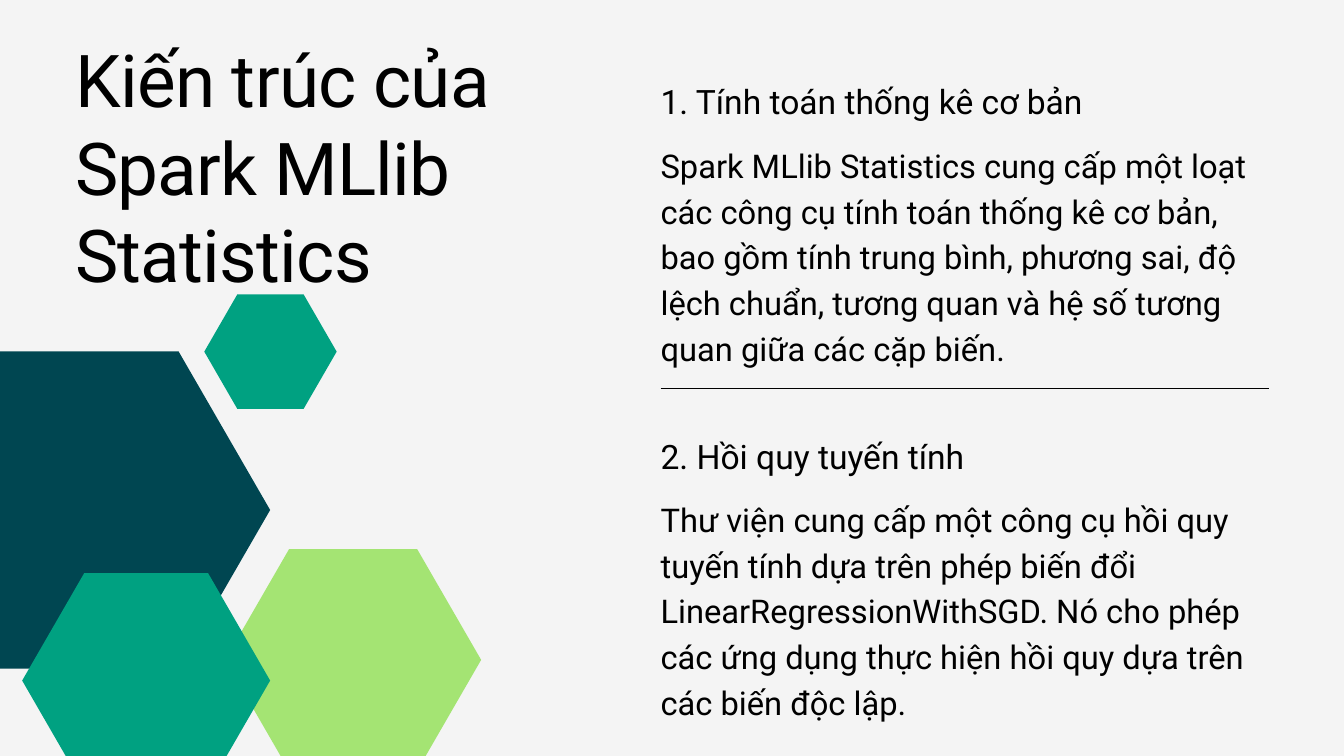
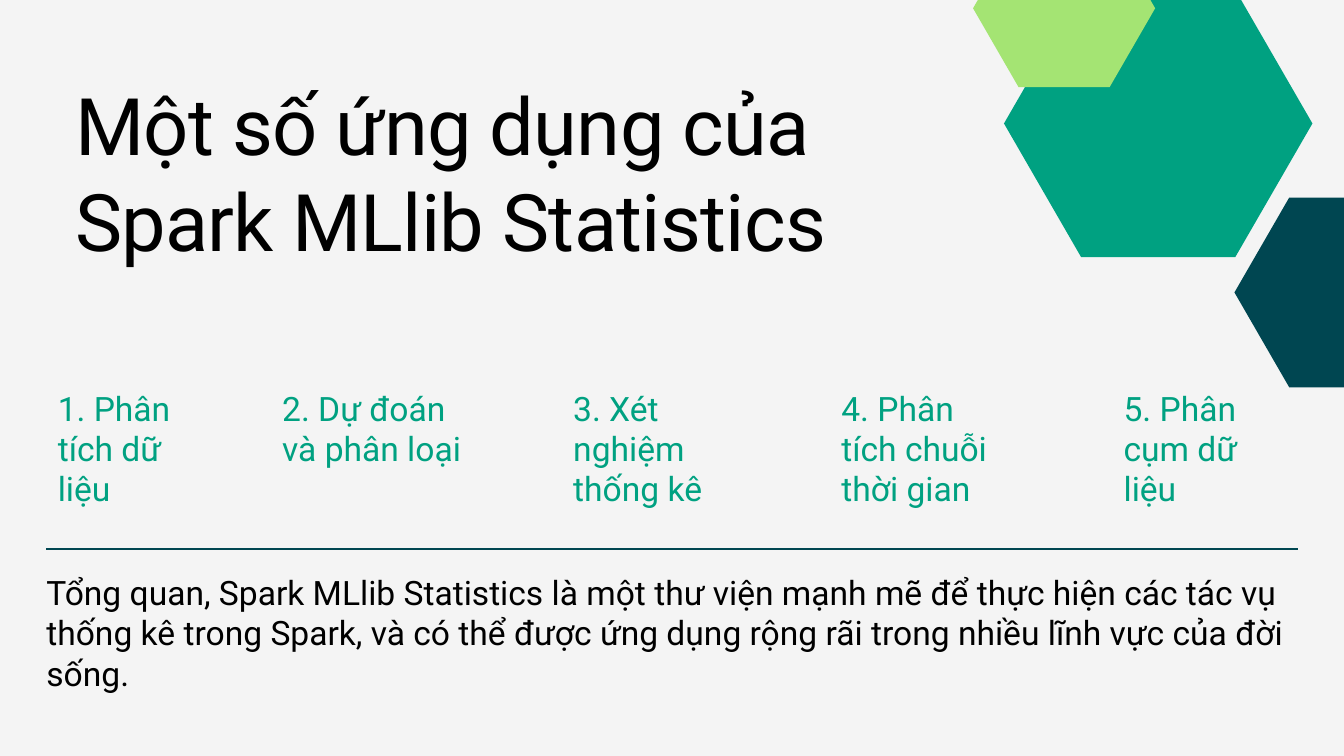
from math import sqrt

from lxml import etree
from pptx import Presentation
from pptx.dml.color import RGBColor
from pptx.enum.shapes import MSO_CONNECTOR as Connector, MSO_SHAPE as Shape
from pptx.enum.text import MSO_ANCHOR as Anchor, MSO_AUTO_SIZE as AutoSize, PP_ALIGN as Align
from pptx.oxml.ns import qn
from pptx.util import Inches, Pt

BACKGROUND = RGBColor(0xF4, 0xF4, 0xF4)
BLACK = RGBColor(0x00, 0x00, 0x00)
NAVY = RGBColor(0x00, 0x46, 0x51)
TEAL = RGBColor(0x00, 0xA1, 0x81)
LIME = RGBColor(0xA4, 0xE4, 0x73)

FONT = "Roboto"
TEXT_SIZE, TEXT_SPACING = 36, 43.2
COMPARISON_LAYOUT, CONTENT_LAYOUT = 4, 1


class Deck:
    def __init__(self, width, height):
        self.presentation = Presentation()
        self.presentation.slide_width = Inches(width)
        self.presentation.slide_height = Inches(height)
        fill = self.presentation.slide_master.background.fill
        fill.solid()
        fill.fore_color.rgb = BACKGROUND
        self.slide = None

    def add_slide(self, layout):
        layouts = self.presentation.slide_layouts
        self.slide = self.presentation.slides.add_slide(layouts[layout])

    def set_text(self, shape, text, size, spacing, color=BLACK, tracking=0):
        frame = shape.text_frame
        frame.text = text
        frame.word_wrap = True
        frame.auto_size = AutoSize.NONE
        frame.vertical_anchor = Anchor.TOP
        frame.margin_left = frame.margin_right = frame.margin_top = frame.margin_bottom = 0
        paragraph = frame.paragraphs[0]
        paragraph.alignment = Align.LEFT
        paragraph.line_spacing = Pt(spacing)
        paragraph.space_before = paragraph.space_after = Pt(0)
        properties = paragraph._p.get_or_add_pPr()
        properties.set("marL", "0")
        properties.set("indent", "0")
        etree.SubElement(properties, qn("a:buNone"))
        run = paragraph.runs[0]
        run.font.name = FONT
        run.font.size = Pt(size)
        run.font.bold = False
        run.font.color.rgb = color
        if tracking:
            run._r.get_or_add_rPr().set("spc", str(round(tracking * 100)))

    def placeholder(self, index, box, text, size=TEXT_SIZE, spacing=TEXT_SPACING, tracking=0):
        shape = self.slide.placeholders[index]
        shape.left, shape.top, shape.width, shape.height = map(Inches, box)
        self.set_text(shape, text, size, spacing, tracking=tracking)

    def title(self, box, text, size):
        self.placeholder(0, box, text, size, size * 1.2, tracking=-0.8)

    def label(self, box, text, color):
        shape = self.slide.shapes.add_textbox(*map(Inches, box))
        self.set_text(shape, text, TEXT_SIZE, TEXT_SPACING, color)

    def hexagon(self, left, top, width, color):
        height = width * sqrt(3) / 2
        shape = self.slide.shapes.add_shape(
            Shape.HEXAGON, Inches(left), Inches(top), Inches(width), Inches(height))
        shape.adjustments[0] = width / 4 / height
        shape.shadow.inherit = False
        shape.fill.solid()
        shape.fill.fore_color.rgb = color
        shape.line.fill.background()

    def rule(self, left, right, top, color, weight):
        line = self.slide.shapes.add_connector(
            Connector.STRAIGHT, Inches(left), Inches(top), Inches(right), Inches(top))
        line.line.color.rgb = color
        line.line.width = Pt(weight)
        etree.SubElement(line._element.spPr, qn("a:effectLst"))


def add_architecture(deck):
    deck.add_slide(COMPARISON_LAYOUT)
    deck.title((1.12, 0.52, 7.5, 3.86), "Kiến trúc của Spark MLlib Statistics", 78.1)
    for left, top, width, color in (
        (-1.43, 5.23, 5.45, NAVY),
        (3.35, 8.17, 3.81, LIME),
        (3.04, 4.38, 1.97, TEAL),
        (0.33, 8.53, 3.69, TEAL),
    ):
        deck.hexagon(left, top, width, color)

    left, width = 9.83, 9.05
    sections = (
        (1, 1.21, 3.32, "1. Tính toán thống kê cơ bản",
         "Spark MLlib Statistics cung cấp một loạt các công cụ tính toán thống kê cơ bản, "
         "bao gồm tính trung bình, phương sai, độ lệch chuẩn, tương quan và hệ số tương "
         "quan giữa các cặp biến."),
        (3, 6.48, 4.01, "2. Hồi quy tuyến tính",
         "Thư viện cung cấp một công cụ hồi quy tuyến tính dựa trên phép biến đổi "
         "LinearRegressionWithSGD. Nó cho phép các ứng dụng thực hiện hồi quy dựa trên "
         "các biến độc lập."),
    )
    for index, top, height, heading, body in sections:
        deck.placeholder(index, (left, top, width, 0.58), heading)
        deck.placeholder(index + 1, (left, top + 0.86, width, height), body, 35, 49)
    deck.rule(left, left + width, 5.78, BLACK, 0.75)


def add_applications(deck):
    deck.add_slide(CONTENT_LAYOUT)
    deck.title((1.12, 1.14, 13.36, 2.79), "Một số ứng dụng của Spark MLlib Statistics", 85)
    deck.rule(0.69, 19.31, 8.17, NAVY, 1.5)
    for left, width, text in (
        (0.86, 2.02, "1. Phân tích dữ liệu"),
        (4.2, 2.77, "2. Dự đoán và phân loại"),
        (8.53, 2.45, "3. Xét nghiệm thống kê"),
        (12.52, 2.42, "4. Phân tích chuỗi thời gian"),
        (16.72, 2.42, "5. Phân cụm dữ liệu"),
    ):
        deck.label((left, 5.77, width, 1.76), text, TEAL)
    for left, top, width, color in (
        (18.37, 2.94, 3.26, NAVY),
        (14.94, -0.15, 4.59, TEAL),
        (14.48, -1.05, 2.71, LIME),
    ):
        deck.hexagon(left, top, width, color)
    deck.placeholder(
        1, (0.69, 8.51, 18.84, 2.36),
        "Tổng quan, Spark MLlib Statistics là một thư viện mạnh mẽ để thực hiện các tác vụ "
        "thống kê trong Spark, và có thể được ứng dụng rộng rãi trong nhiều lĩnh vực của "
        "đời sống.")


def main():
    deck = Deck(20, 11.25)
    add_architecture(deck)
    add_applications(deck)
    deck.presentation.save("out.pptx")


if __name__ == "__main__":
    main()
